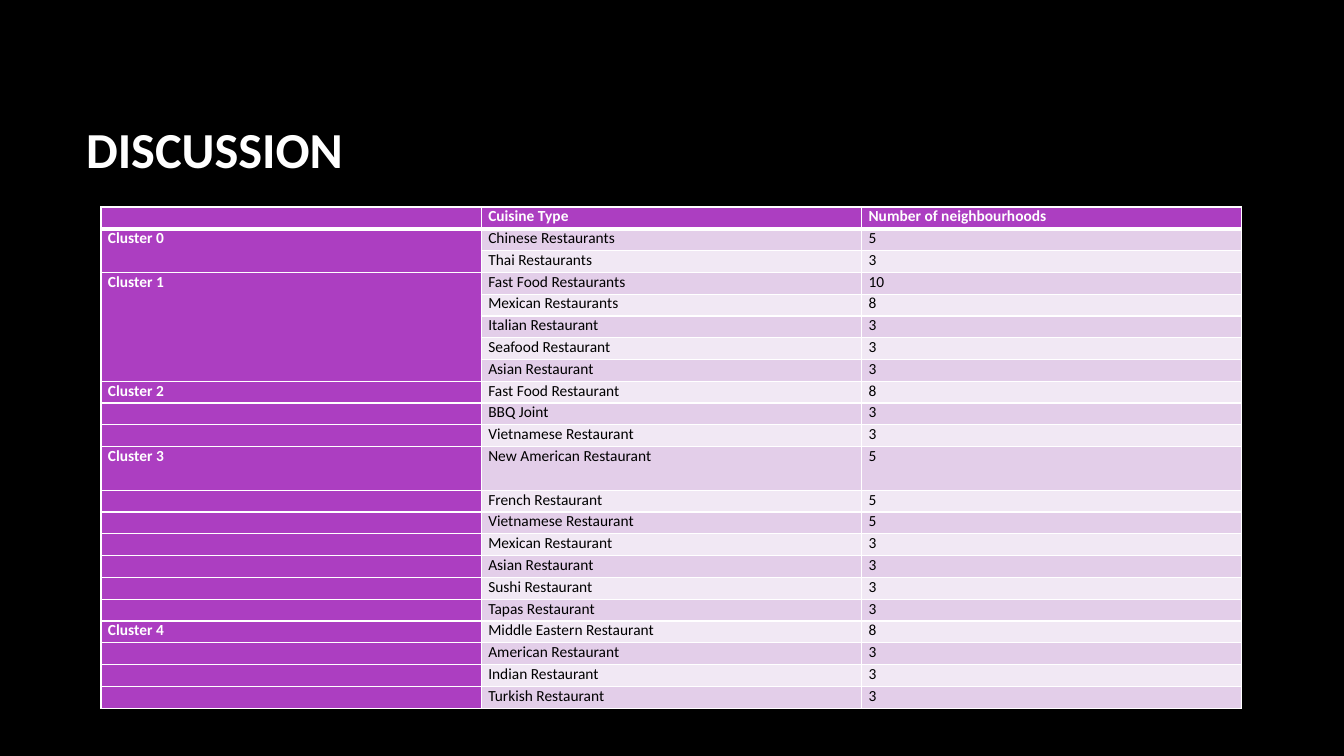
from lxml import etree
from pptx import Presentation
from pptx.dml.color import RGBColor
from pptx.enum.text import MSO_ANCHOR, PP_ALIGN
from pptx.oxml.ns import qn
from pptx.util import Pt

MIDDLE, TOP = MSO_ANCHOR.MIDDLE, MSO_ANCHOR.TOP
LEFT = PP_ALIGN.LEFT

EMU_PER_PX = 914400 / 100.8
FONT = "Calibri"
BLACK = RGBColor(0x00, 0x00, 0x00)
WHITE = RGBColor(0xFF, 0xFF, 0xFF)
PURPLE = RGBColor(0xAC, 0x3E, 0xC1)
DARK_BAND = RGBColor(0xE3, 0xCE, 0xE9)
LIGHT_BAND = RGBColor(0xF1, 0xE8, 0xF4)

BODY_SIZE = 11
HEADINGS = ("", "Cuisine Type", "Number of neighbourhoods")
TALL_CUISINE = "New American Restaurant"
MERGED_CLUSTERS = ("Cluster 0", "Cluster 1")
CLUSTERS = {
    "Cluster 0": [("Chinese Restaurants", 5), ("Thai Restaurants", 3)],
    "Cluster 1": [("Fast Food Restaurants", 10), ("Mexican Restaurants", 8),
                  ("Italian Restaurant", 3), ("Seafood Restaurant", 3),
                  ("Asian Restaurant", 3)],
    "Cluster 2": [("Fast Food Restaurant", 8), ("BBQ Joint", 3),
                  ("Vietnamese Restaurant", 3)],
    "Cluster 3": [(TALL_CUISINE, 5), ("French Restaurant", 5),
                  ("Vietnamese Restaurant", 5), ("Mexican Restaurant", 3),
                  ("Asian Restaurant", 3), ("Sushi Restaurant", 3),
                  ("Tapas Restaurant", 3)],
    "Cluster 4": [("Middle Eastern Restaurant", 8), ("American Restaurant", 3),
                  ("Indian Restaurant", 3), ("Turkish Restaurant", 3)],
}


def px(length):
    return round(length * EMU_PER_PX)


def write_text(text_frame, text, *, size, color, bold=False):
    paragraph = text_frame.paragraphs[0]
    paragraph.alignment = LEFT
    if not text:
        # An empty cell keeps the row low only with a small end mark
        end_mark = etree.SubElement(paragraph._p, qn("a:endParaRPr"))
        end_mark.set("sz", str(size * 100))
        return
    run = paragraph.add_run()
    run.text = text
    run.font.name = FONT
    run.font.size = Pt(size)
    run.font.bold = bold
    run.font.color.rgb = color


def add_borders(cell, **widths):
    """Draw white borders, 1 pt wide unless a side (L, R, T, B) says otherwise."""
    properties = cell._tc.get_or_add_tcPr()
    for side in "LRTB":
        line = etree.SubElement(properties, qn(f"a:ln{side}"))
        line.set("w", str(Pt(widths.get(side, 1))))
        fill = etree.SubElement(line, qn("a:solidFill"))
        etree.SubElement(fill, qn("a:srgbClr")).set("val", str(WHITE))


def format_cell(cell, text, *, fill, color, bold, **borders):
    cell.margin_left = cell.margin_right = px(7)
    cell.margin_top = cell.margin_bottom = 0
    cell.vertical_anchor = TOP
    add_borders(cell, **borders)
    cell.fill.solid()
    cell.fill.fore_color.rgb = fill
    write_text(cell.text_frame, text, size=BODY_SIZE, color=color, bold=bold)


def place_title(slide, left, top, width, height):
    title = slide.shapes.title
    title.left, title.top = px(left), px(top)
    title.width, title.height = px(width), px(height)
    title.text_frame.vertical_anchor = MIDDLE
    title.text_frame.word_wrap = True
    write_text(title.text_frame, "DISCUSSION", size=36, color=WHITE, bold=True)


def add_cluster_table(slide, left, top, width, height):
    rows = [HEADINGS]
    merges = []
    for cluster, cuisines in CLUSTERS.items():
        if cluster in MERGED_CLUSTERS:
            merges.append((len(rows), len(rows) + len(cuisines) - 1))
        for index, (cuisine, count) in enumerate(cuisines):
            rows.append((cluster if index == 0 else "", cuisine, str(count)))

    table = slide.shapes.add_table(len(rows), len(HEADINGS), px(left), px(top),
                                   px(width), px(height)).table
    for column in table.columns:
        column.width = px(width / len(HEADINGS))

    # One row is twice as tall as the rest
    row_height = height / (len(rows) + 1)
    for row_index, values in enumerate(rows):
        tall = values[1] == TALL_CUISINE
        table.rows[row_index].height = px(row_height * (2 if tall else 1))
        band = DARK_BAND if row_index % 2 else LIGHT_BAND
        borders = {0: {"B": 3}, 1: {"T": 3}}.get(row_index, {})
        for column_index, text in enumerate(values):
            heading = row_index == 0 or column_index == 0
            format_cell(table.cell(row_index, column_index), text,
                        fill=PURPLE if heading else band,
                        color=WHITE if heading else BLACK,
                        bold=heading, **borders)

    for first, last in merges:
        table.cell(first, 0).merge(table.cell(last, 0))


def build_discussion_slide(presentation):
    slide = presentation.slides.add_slide(presentation.slide_layouts[5])
    slide.background.fill.solid()
    slide.background.fill.fore_color.rgb = BLACK
    place_title(slide, 76, 68, 1117, 160)
    add_cluster_table(slide, 101, 207, 1141, 502)


def main():
    presentation = Presentation()
    presentation.slide_width = px(1344)
    presentation.slide_height = px(756)
    build_discussion_slide(presentation)
    presentation.save("out.pptx")


if __name__ == "__main__":
    main()
